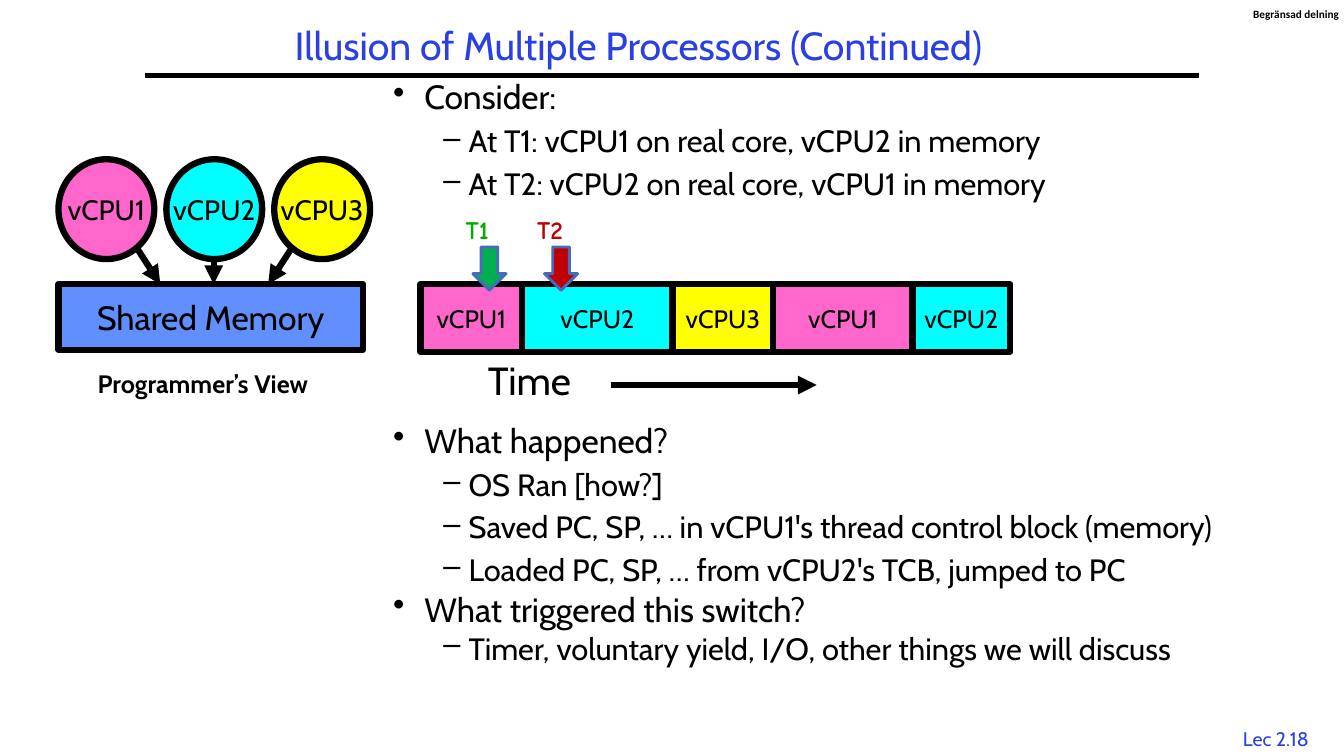
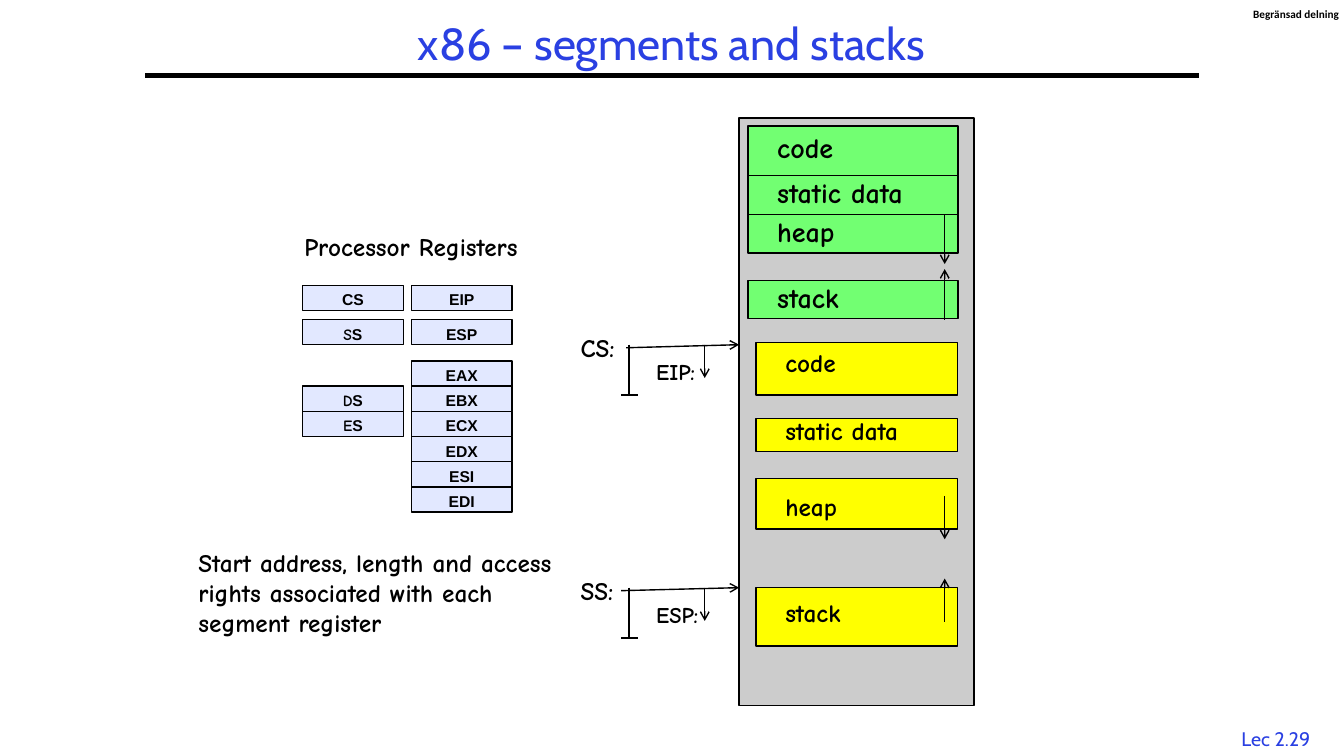
from pptx import Presentation
from pptx.dml.color import RGBColor
from pptx.enum import shapes, text
from pptx.oxml import ns, xmlchemy
from pptx.util import Emu, Pt
from lxml import etree

PX = 9144  # 100 px to the inch


class Theme:
    black, blue, arrow_edge = "000000", "2A40E2", "486ABB"
    pink, cyan, yellow, memory = "FF66CC", "00FFFF", "FFFF00", "618FFD"
    green, red, green_label = "00B050", "C00000", "00AE00"
    space, block_green, register = "CCCCCC", "72FF72", "E2E8FF"
    main, hand, plain, mark = "Cabin", "Comic Neue", "Arial", "Calibri"
    thin, rule, arrow_line, thick = 1, 3, 2, 4.5
    tiny, reg, footer, pointer, small, medium = 8, 11.2, 14, 16, 18, 20
    sub, bullet, large, title = 22, 24, 28, 32


T = Theme
LEFT, CENTER = text.PP_ALIGN.LEFT, text.PP_ALIGN.CENTER
TOP, MIDDLE = text.MSO_ANCHOR.TOP, text.MSO_ANCHOR.MIDDLE
RECT, OVAL = shapes.MSO_SHAPE.RECTANGLE, shapes.MSO_SHAPE.OVAL
DOWN = shapes.MSO_SHAPE.DOWN_ARROW

# Slide 1: (level, text, line spacing, space before as a share of the size)
BULLETS = [
    (75, 150, [
        (0, "Consider:", 0.9, 0),
        (1, "At T1: vCPU1 on real core, vCPU2 in memory", 0.9, 0.3),
        (1, "At T2: vCPU2 on real core, vCPU1 in memory", 0.9, 0.3),
    ]),
    (416, 280, [
        (0, "What happened?", 0.9, 0),
        (1, "OS Ran [how?]", 0.9, 0.3),
        (1, "Saved PC, SP, … in vCPU1's thread control block (memory)", 0.9, 0.3),
        (1, "Loaded PC, SP, … from vCPU2's TCB, jumped to PC", 0.9, 0.3),
        (0, "What triggered this switch?", 0.8, 0.25),
        (1, "Timer, voluntary yield, I/O, other things we will discuss", 0.8, 0.25),
    ]),
]
BULLET_STYLES = [("•", 31, 31, T.bullet), ("–", 75, 25, T.sub)]
CPU_COLORS = {"vCPU1": T.pink, "vCPU2": T.cyan, "vCPU3": T.yellow}
TIME_SLICES = [("vCPU1", 101), ("vCPU2", 149), ("vCPU3", 100), ("vCPU1", 138), ("vCPU2", 97)]
MOMENTS = [("T1", 452, T.green, T.green_label), ("T2", 523, T.red, T.red)]
MEMORY_ACCESS = [(135, 245, 159, 282), (212, 257, 212, 282), (290, 245, 266, 282)]

# Slide 2
SEGMENT_REGISTERS = [("C", 283), ("S", 317), ("D", 383), ("E", 408)]
POINTER_REGISTERS = [("EIP", 283), ("ESP", 317)]
GENERAL_REGISTERS = ["EAX", "EBX", "ECX", "EDX", "ESI", "EDI"]
# (left, fill, text size, [(name, top, height, label top)])
PROGRAMS = [
    (742, T.block_green, T.medium, [
        ("code", 125, 49, 125), ("static data", 174, 39, 169),
        ("heap", 213, 38, 208), ("stack", 278, 38, 273)]),
    (750, T.yellow, T.small, [
        ("code", 340, 52, 340), ("static data", 415, 33, 407),
        ("heap", 475, 50, 483), ("stack", 583, 58, 588)]),
]
BLOCK_RIGHT = 950
GROWTH = [(213, 262), (317, 267), (492, 535), (617, 574)]
# (segment, offset register, top, arrow start)
ADDRESSES = [("CS:", "EIP:", 342, 621), ("SS:", "ESP:", 583, 616)]


def px(*lengths):
    return [Emu(n * PX) for n in lengths]


def rgb(color):
    return RGBColor.from_string(color)


def add_run(paragraph, words, size, font, color=T.black, bold=False):
    run = paragraph.add_run()
    run.text = words
    run.font.size, run.font.name, run.font.bold = Pt(size), font, bold
    run.font.color.rgb = rgb(color)


def label(slide, box, words, size, font=T.main, color=T.black, bold=False,
          align=LEFT, anchor=TOP, inset=True, spacing=None):
    frame = slide.shapes.add_textbox(*px(*box)).text_frame
    frame.word_wrap, frame.vertical_anchor = True, anchor
    if not inset:
        frame.margin_left = frame.margin_right = 0
        frame.margin_top = frame.margin_bottom = 0
    paragraph = frame.paragraphs[0]
    paragraph.alignment, paragraph.line_spacing = align, spacing
    add_run(paragraph, words, size, font, color, bold)


def hand_label(slide, box, words, size=T.small, color=T.black):
    label(slide, box, words, size, T.hand, color, bold=True)


def block(slide, box, fill, kind=RECT, edge=T.black, width=T.thin, runs=(), anchor=MIDDLE):
    """Outlined shape; runs holds the arguments of add_run for each run."""
    shape = slide.shapes.add_shape(kind, *px(*box))
    shape.shadow.inherit = False
    shape.fill.solid()
    shape.fill.fore_color.rgb = rgb(fill)
    shape.line.color.rgb, shape.line.width = rgb(edge), Pt(width)
    if runs:
        frame = shape.text_frame
        frame.word_wrap, frame.vertical_anchor = False, anchor
        frame.paragraphs[0].alignment = CENTER
        for run in runs:
            add_run(frame.paragraphs[0], *run)


def line(slide, ends, width=T.thin, head=None):
    connector = slide.shapes.add_connector(shapes.MSO_CONNECTOR.STRAIGHT, *px(*ends))
    connector.line.color.rgb, connector.line.width = rgb(T.black), Pt(width)
    properties = connector._element.spPr
    if head:
        etree.SubElement(properties.find(ns.qn("a:ln")), ns.qn("a:tailEnd"), type=head)
    etree.SubElement(properties, ns.qn("a:effectLst"))


def bullet_list(slide, top, height, items):
    frame = slide.shapes.add_textbox(*px(380, top, 938, height)).text_frame
    frame.word_wrap = True
    for i, (level, words, spacing, before) in enumerate(items):
        paragraph = frame.add_paragraph() if i else frame.paragraphs[0]
        mark, margin, hang, size = BULLET_STYLES[level]
        properties = paragraph._p.get_or_add_pPr()
        properties.set("marL", str(margin * PX))
        properties.set("indent", str(-hang * PX))
        etree.SubElement(properties, ns.qn("a:buChar"), char=mark)
        paragraph.level, paragraph.line_spacing = level, spacing
        paragraph.space_before = Pt(size * before)
        add_run(paragraph, words, size, T.main)


def new_slide(deck, title, title_box, title_size, number):
    slide = deck.slides.add_slide(deck.slide_layouts[6])
    label(slide, (1217, 716, 97, 33), number, T.footer, color=T.blue, align=CENTER)
    line(slide, (144, 75, 1189, 75), T.rule)
    label(slide, (1243, 7, 86, 13), "Begränsad delning", T.tiny, T.mark, bold=True, inset=False)
    label(slide, title_box, title, title_size, color=T.blue, align=CENTER,
          anchor=MIDDLE, spacing=0.9)
    return slide


def processors_slide(deck):
    slide = new_slide(deck, "Illusion of Multiple Processors (Continued)",
                      (202, 4, 862, 87), T.large, "Lec 2.18")
    for group in BULLETS:
        bullet_list(slide, *group)

    left = 417
    for name, width in TIME_SLICES:
        block(slide, (left, 282, width, 67), CPU_COLORS[name], width=T.thick,
              runs=[(name, T.small, T.main)])
        left += width
    label(slide, (474, 349, 133, 57), "Time", T.large)
    line(slide, (606, 382, 810, 382), T.thick, "triangle")

    for name, left, fill, color in MOMENTS:
        block(slide, (left + 17, 245, 33, 43), fill, DOWN, T.arrow_edge, T.arrow_line)
        hand_label(slide, (left, 208, 71, 40), name, color=color)

    for i, (name, color) in enumerate(CPU_COLORS.items()):
        block(slide, (58 + 107 * i, 158, 95, 99), color, OVAL, width=T.thick,
              runs=[(name, T.medium, T.main)])
    block(slide, (58, 282, 302, 65), T.memory, width=T.thick,
          runs=[("Shared Memory", T.bullet, T.main)])
    for ends in MEMORY_ACCESS:
        line(slide, ends, T.thick, "triangle")
    label(slide, (87, 361, 255, 40), "Programmer’s View", T.small, bold=True)


def segments_slide(deck):
    slide = new_slide(deck, "x86 – segments and stacks", (144, 17, 1044, 58),
                      T.title, "Lec 2.29")

    general = [(name, 358 + 25 * i) for i, name in enumerate(GENERAL_REGISTERS)]
    registers = [(408, top, [(name, T.plain)]) for name, top in POINTER_REGISTERS + general]
    for letter, top in SEGMENT_REGISTERS:
        first_font = T.plain if letter == "C" else T.hand
        registers.append((300, top, [(letter, first_font), ("S", T.plain)]))
    for left, top, parts in registers:
        block(slide, (left, top, 100, 25), T.register, anchor=TOP,
              runs=[(words, T.reg, font, T.black, True) for words, font in parts])

    block(slide, (733, 117, 233, 583), T.space)
    for left, fill, size, parts in PROGRAMS:
        for name, top, height, label_top in parts:
            block(slide, (left, top, BLOCK_RIGHT - left, height), fill)
            hand_label(slide, (left + 19, label_top, 171, 44), name, size)
    for start, end in GROWTH:
        line(slide, (937, start, 937, end), head="arrow")

    for segment, offset, top, start in ADDRESSES:
        hand_label(slide, (566, top - 17, 66, 40), segment)
        line(slide, (start, top + 3, 733, top), head="arrow")
        line(slide, (624, top, 624, top + 50))
        line(slide, (616, top + 50, 633, top + 50))
        line(slide, (699, top, 699, top + 33), head="arrow")
        hand_label(slide, (641, top + 8, 72, 37), offset, T.pointer)

    hand_label(slide, (292, 225, 267, 40), "Processor Registers")
    hand_label(slide, (187, 538, 379, 101), "Start address, length and access rights "
               "associated with each segment register")


def main():
    deck = Presentation()
    deck.slide_width, deck.slide_height = px(1333, 750)
    processors_slide(deck)
    segments_slide(deck)
    deck.save("out.pptx")


if __name__ == "__main__":
    main()
